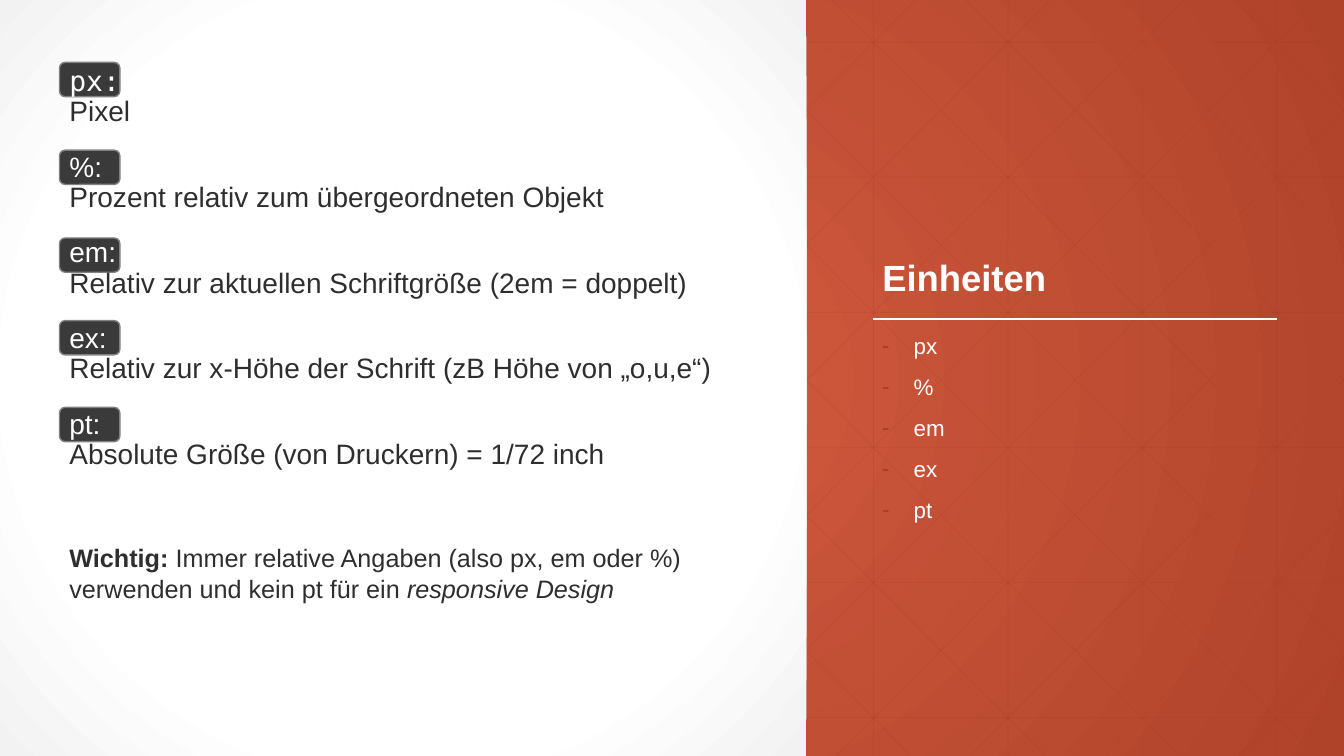
from lxml import etree
from pptx import Presentation
from pptx.dml.color import RGBColor
from pptx.enum import shapes, text
from pptx.oxml import ns, parse_xml
from pptx.util import Pt

W, H = 960, 540
PANEL_W = 576
FONT, MONO = "Arial", "DejaVu Sans Mono"
COLORS = {
    "bg_inner": "D15A3E", "bg_outer": "AF432A", "accent": "A43F27",
    "white": "FFFFFF", "panel_edge": "F2F2F2",
    "text": "2D2E2D", "tag": "3A3A3A", "tag_line": "808080",
}
# unit, top of its tag, explanation
UNITS = [
    ("px", 44.6, "Pixel"),
    ("%", 107.3, "Prozent relativ zum übergeordneten Objekt"),
    ("em", 170, "Relativ zur aktuellen Schriftgröße (2em = doppelt)"),
    ("ex", 229, "Relativ zur x-Höhe der Schrift (zB Höhe von „o,u,e“)"),
    ("pt", 291, "Absolute Größe (von Druckern) = 1/72 inch"),
]


def rgb(name):
    return RGBColor.from_string(COLORS[name])


def set_radial(props, stops):
    """Replace the solid fill in props by a gradient from the centre outwards."""
    marks = "".join(
        f'<a:gs pos="{pos * 1000}"><a:srgbClr val="{COLORS[name]}"/></a:gs>'
        for pos, name in stops)
    grad = parse_xml(
        f'<a:gradFill {ns.nsdecls("a")} rotWithShape="1"><a:gsLst>{marks}</a:gsLst>'
        '<a:path path="circle"><a:fillToRect l="50000" t="50000" r="50000" b="50000"/>'
        '</a:path></a:gradFill>')
    props.replace(props.find(ns.qn("a:solidFill")), grad)


def add_line(s, x1, y1, x2, y2, color, width, opacity=100):
    line = s.shapes.add_connector(
        shapes.MSO_CONNECTOR.STRAIGHT, Pt(x1), Pt(y1), Pt(x2), Pt(y2))
    line.line.color.rgb = rgb(color)
    line.line.width = Pt(width)
    props = line._element.spPr
    if opacity < 100:
        clr = props.find(".//" + ns.qn("a:srgbClr"))
        etree.SubElement(clr, ns.qn("a:alpha"), val=str(opacity * 1000))
    etree.SubElement(props, ns.qn("a:effectLst"))


def add_box(s, kind, x, y, w, h, fill, line=None):
    sp = s.shapes.add_shape(kind, Pt(x), Pt(y), Pt(w), Pt(h))
    sp.shadow.inherit = False
    sp.fill.solid()
    sp.fill.fore_color.rgb = rgb(fill)
    if line:
        sp.line.color.rgb = rgb(line)
        sp.line.width = Pt(1)
    else:
        sp.line.fill.background()
    return sp


def add_text(s, x, y, w, h):
    tf = s.shapes.add_textbox(Pt(x), Pt(y), Pt(w), Pt(h)).text_frame
    tf.word_wrap = True
    return tf


def add_paragraph(tf, first, size, color, before=0, spacing=None):
    p = tf.paragraphs[0] if first else tf.add_paragraph()
    p.font.size, p.font.name = Pt(size), FONT
    p.font.color.rgb = rgb(color)
    p.space_before = Pt(before)
    p.line_spacing = spacing
    return p


def add_run(p, words):
    r = p.add_run()
    r.text = words
    return r


def set_dash_bullet(p):
    props = p._p.get_or_add_pPr()
    props.set("marL", str(Pt(22.5)))
    props.set("indent", str(-Pt(22.5)))
    bullet = [
        f'<a:buClr {ns.nsdecls("a")}><a:srgbClr val="{COLORS["accent"]}"/></a:buClr>',
        f'<a:buFont {ns.nsdecls("a")} typeface="{FONT}"/>',
        f'<a:buChar {ns.nsdecls("a")} char="-"/>',
    ]
    font = props.find(ns.qn("a:defRPr"))
    for xml in bullet:
        font.addprevious(parse_xml(xml))


def add_pattern(s):
    def grid_line(*ends):
        add_line(s, *ends, "accent", 0.5, 25)

    pitch, run = 96, 537
    for k in range(4):
        x = 624 + k * pitch
        grid_line(x, 0, x, H)
    for k in range(6):
        y = 30 + k * 96.5
        grid_line(0, y, W, y)
    # Diagonals stop at the right edge of the slide
    for start, y1, y2 in ((18, 0, H), (21, H, 0)):
        for k in range(1, 10):
            x = start + k * pitch
            part = min(1, (W - x) / run)
            grid_line(x, y1, x + part * run, y1 + part * (y2 - y1))


def format_title(s, words):
    sp = s.shapes.title
    s.shapes._spTree.append(sp._element)  # bring to front
    sp.left, sp.top, sp.width, sp.height = Pt(623), Pt(44.6), Pt(288), Pt(173)
    tf = sp.text_frame
    tf.text = words
    tf.word_wrap = True
    tf.auto_size = text.MSO_AUTO_SIZE.NONE
    tf.vertical_anchor = text.MSO_ANCHOR.BOTTOM
    p = add_paragraph(tf, True, 26, "white", spacing=0.9)
    p.font.bold = True
    p.alignment = text.PP_ALIGN.LEFT


def add_explanations(s):
    for unit, top, meaning in reversed(UNITS):
        add_box(s, shapes.MSO_SHAPE.ROUNDED_RECTANGLE, 42.5, top, 43.2, 24.5,
                "tag", "tag_line")
    tf = add_text(s, 42.5, 44.6, 489.6, 316)
    for i, (unit, top, meaning) in enumerate(UNITS):
        p = add_paragraph(tf, i == 0, 20, "text", 18, 0.9)
        r = add_run(p, unit + ":")
        r.font.color.rgb = rgb("white")
        if unit == "px":
            r.font.name = MONO
        p.add_line_break()
        add_run(p, meaning)


def add_unit_list(s):
    tf = add_text(s, 623, 236, 288, 180)
    for i, (unit, top, meaning) in enumerate(UNITS):
        p = add_paragraph(tf, i == 0, 16, "white", 12, 0.9)
        add_run(p, unit)
        set_dash_bullet(p)


def add_advice(s):
    p = add_paragraph(add_text(s, 42.5, 384, 469.4, 51), True, 18, "text")
    add_run(p, "Wichtig: ").font.bold = True
    add_run(p, "Immer relative Angaben (also px, em oder %) verwenden "
               "und kein pt für ein ")
    add_run(p, "responsive Design").font.italic = True


def main():
    prs = Presentation()
    prs.slide_width, prs.slide_height = Pt(W), Pt(H)
    s = prs.slides.add_slide(prs.slide_layouts[5])

    # Background, pattern and light panel
    s.background.fill.solid()
    set_radial(s._element.find(".//" + ns.qn("p:bgPr")),
               [(0, "bg_inner"), (100, "bg_outer")])
    add_pattern(s)
    panel = add_box(s, shapes.MSO_SHAPE.RECTANGLE, 0, 0, PANEL_W, H, "white")
    set_radial(panel._element.spPr,
               [(0, "white"), (69, "white"), (100, "panel_edge")])

    # Left: explanations and advice
    add_explanations(s)
    add_advice(s)

    # Right: title, rule and list of units
    format_title(s, "Einheiten")
    add_line(s, 623.5, 228, 912, 228, "white", 1.5)
    add_unit_list(s)

    prs.save("out.pptx")


if __name__ == "__main__":
    main()
